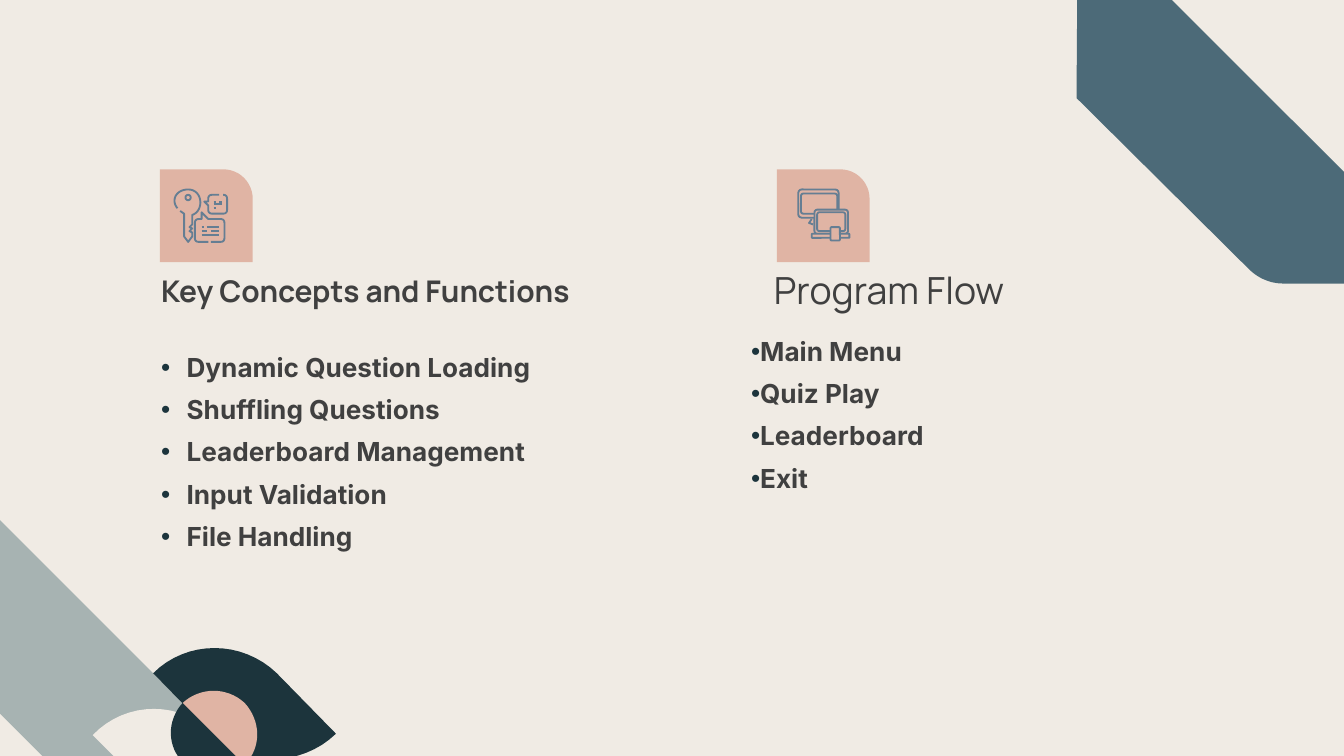
from lxml import etree
from pptx import Presentation
from pptx import util as u
from pptx.dml.color import RGBColor
from pptx.enum import shapes, text
from pptx.oxml.ns import qn

COLORS = {
    "cream": "F0EBE4", "sage": "A7B3B2", "navy": "1C343C", "peach": "E0B4A4",
    "teal": "4C6A78", "icon": "657E93", "ink": "404040",
}
ICON_LINE = u.Pt(1)

CORNER_BAND = [(2.37, 6.24), (-0.01, 3.86), (-0.02, 5.29), (1.26, 6.57),
               (1.33, 6.63, 1.42, 6.67, 1.52, 6.67), (2.37, 6.67)]
TOP_BAND = [(10.4, 1.68), (8.02, -0.7), (8.01, 0.73), (9.29, 2),
            (9.36, 2.07, 9.45, 2.11, 9.55, 2.11), (10.4, 2.11)]
DARK_LEAF = [(1.14, 5.01), (1.39, 4.76, 1.8, 4.76, 2.06, 5.01), (2.5, 5.46),
             (2.24, 5.71, 1.83, 5.71, 1.58, 5.46)]
PALE_LEAF = [(0.69, 5.47), (0.94, 5.21, 1.35, 5.21, 1.6, 5.47), (2.05, 5.91),
             (1.79, 6.16, 1.38, 6.16, 1.13, 5.91)]
DARK_HALF = [(1.37, 5.68), (1.5, 5.81, 1.7, 5.81, 1.83, 5.69), (1.36, 5.23),
             (1.24, 5.36, 1.24, 5.56, 1.37, 5.68)]
PEACH_HALF = [(1.82, 5.23), (1.69, 5.11, 1.49, 5.11, 1.36, 5.23), (1.82, 5.69),
              (1.95, 5.56, 1.94, 5.36, 1.82, 5.23)]

KEY = [(1.32, 1.55), (1.27, 1.49, 1.31, 1.41, 1.4, 1.41),
       (1.51, 1.41, 1.52, 1.57, 1.43, 1.6), (1.43, 1.67), (1.41, 1.69),
       (1.43, 1.7), (1.41, 1.72), (1.43, 1.73), (1.43, 1.76), (1.4, 1.8),
       (1.37, 1.76), (1.37, 1.59), (1.34, 1.57)]
SMALL_BUBBLE = [(1.66, 1.45), (1.68, 1.45, 1.69, 1.46, 1.69, 1.48), (1.69, 1.56),
                (1.69, 1.58, 1.68, 1.59, 1.66, 1.59), (1.58, 1.59),
                (1.56, 1.59, 1.55, 1.58, 1.55, 1.56), (1.55, 1.53), (1.52, 1.5),
                (1.55, 1.5), (1.55, 1.48), (1.55, 1.46, 1.56, 1.45, 1.58, 1.45),
                (1.63, 1.45)]
LARGE_BUBBLE = [(1.55, 1.8), (1.48, 1.8), (1.46, 1.8, 1.45, 1.79, 1.45, 1.77),
                (1.45, 1.66), (1.45, 1.64, 1.46, 1.63, 1.48, 1.63), (1.5, 1.63),
                (1.5, 1.58), (1.55, 1.63), (1.64, 1.63),
                (1.66, 1.63, 1.67, 1.64, 1.67, 1.66), (1.67, 1.77),
                (1.67, 1.79, 1.66, 1.8, 1.64, 1.8), (1.57, 1.8)]
STAND = [(6.04, 1.63), (6.02, 1.66), (6.05, 1.67)]
BUBBLE_DASHES = [(1.59, 1.61, 1.5), (1.63, 1.65, 1.5), (1.59, 1.65, 1.52),
                 (1.59, 1.61, 1.55), (1.5, 1.52, 1.69), (1.54, 1.63, 1.69),
                 (1.5, 1.54, 1.72), (1.57, 1.63, 1.72), (1.5, 1.63, 1.75)]
DEVICES = [(5.94, 1.41, 0.3, 0.21), (5.96, 1.44, 0.27, 0.15),
           (6.06, 1.56, 0.25, 0.18), (6.08, 1.58, 0.21, 0.14),
           (6.04, 1.74, 0.28, 0.03), (6.18, 1.69, 0.07, 0.1)]


def color(name):
    """Return the named colour."""
    return RGBColor.from_string(COLORS[name])


def paint(shape, fill=None, line=None):
    """Set fill and outline, without a shadow."""
    shape.shadow.inherit = False
    if fill:
        shape.fill.solid()
        shape.fill.fore_color.rgb = color(fill)
    else:
        shape.fill.background()
    if line:
        shape.line.color.rgb = color(line)
        shape.line.width = ICON_LINE
    else:
        shape.line.fill.background()


def flatten(steps, pieces=16):
    """Turn line ends (x, y) and cubic curves (six numbers) into points."""
    points = [steps[0]]
    for step in steps[1:]:
        if len(step) == 2:
            points.append(step)
            continue
        knots = [points[-1], step[:2], step[2:4], step[4:]]
        for index in range(1, pieces + 1):
            t = index / pieces
            weights = [(1 - t) ** 3, 3 * t * (1 - t) ** 2, 3 * t * t * (1 - t), t ** 3]
            points.append(tuple(sum(w * knot[axis] for w, knot in zip(weights, knots))
                                for axis in (0, 1)))
    return points


def add_outline(page, steps, fill=None, line=None):
    """Draw a filled outline, or an open stroke when it has no fill."""
    points = [(u.Inches(x), u.Inches(y)) for x, y in flatten(steps)]
    builder = page.shapes.build_freeform(*points[0])
    builder.add_line_segments(points[1:], close=bool(fill))
    paint(builder.convert_to_shape(), fill, line)


def add_preset(page, kind, area, fill=None, line=None, corner=None):
    """Add a preset shape over an area in inches."""
    shape = page.shapes.add_shape(kind, *map(u.Inches, area))
    if corner is not None:
        shape.adjustments[0] = corner
    paint(shape, fill, line)


def add_dash(page, left, right, y):
    """Add a short horizontal icon line."""
    dash = page.shapes.add_connector(shapes.MSO_CONNECTOR.STRAIGHT,
                                     *map(u.Inches, (left, y, right, y)))
    dash.line.color.rgb = color("icon")
    dash.line.width = ICON_LINE
    etree.SubElement(dash._element.spPr, qn("a:effectLst"))


def add_bullet(para, margin, indent):
    """Give a paragraph a dark bullet with a hanging indent."""
    props = para._p.get_or_add_pPr()
    props.set("marL", str(u.Inches(margin)))
    props.set("indent", str(u.Inches(indent)))
    tint = etree.SubElement(props, qn("a:buClr"))
    etree.SubElement(tint, qn("a:srgbClr"), val=COLORS["navy"])
    etree.SubElement(props, qn("a:buFont"), typeface="Arial")
    etree.SubElement(props, qn("a:buChar"), char="•")


def add_text(page, lines, area, font, size, bold=False, top=0.05, bullet=None):
    """Add a text box with one paragraph a line."""
    box = page.shapes.add_textbox(*map(u.Inches, area))
    frame = box.text_frame
    frame.word_wrap = True
    frame.vertical_anchor = text.MSO_ANCHOR.TOP
    frame.margin_top = u.Inches(top)
    for index, line in enumerate(lines):
        para = frame.paragraphs[0] if index == 0 else frame.add_paragraph()
        para.line_spacing = 0.9
        para.space_before = u.Pt(7.5)
        if bullet:
            add_bullet(para, *bullet)
        span = para.add_run()
        span.text = line
        span.font.name = font
        span.font.size = u.Pt(size)
        span.font.bold = bold
        span.font.color.rgb = color("ink")


def add_key_icon(page):
    """Draw the key with its two speech bubbles."""
    for stroke in (KEY, SMALL_BUBBLE, LARGE_BUBBLE):
        add_outline(page, stroke, line="icon")
    add_preset(page, shapes.MSO_SHAPE.OVAL, (1.38, 1.45, 0.04, 0.04), line="icon")
    for dash in BUBBLE_DASHES:
        add_dash(page, *dash)


def add_device_icon(page):
    """Draw the monitor, laptop and phone."""
    add_outline(page, STAND, line="icon")
    for area in DEVICES:
        add_preset(page, shapes.MSO_SHAPE.ROUNDED_RECTANGLE, area, "peach", "icon", 0.12)


def main():
    """Build and save the slide."""
    deck = Presentation()
    deck.slide_width = u.Inches(10)
    deck.slide_height = deck.slide_width * 9 // 16
    page = deck.slides.add_slide(deck.slide_layouts[6])
    page.background.fill.solid()
    page.background.fill.fore_color.rgb = color("cream")

    for steps, fill in ((CORNER_BAND, "sage"), (DARK_LEAF, "navy"), (PALE_LEAF, "cream"),
                        (DARK_HALF, "navy"), (PEACH_HALF, "peach"), (TOP_BAND, "teal")):
        add_outline(page, steps, fill)

    for left in (1.19, 5.78):
        add_preset(page, shapes.MSO_SHAPE.ROUND_1_RECTANGLE, (left, 1.26, 0.69, 0.69),
                   "peach", corner=0.317)
    add_key_icon(page)
    add_device_icon(page)

    add_text(page, ["Key Concepts and Functions"], (1.1, 2.01, 3.6, 0.49),
             "Manrope", 16, bold=True)
    add_text(page, ["Program Flow"], (5.66, 1.98, 3.21, 0.49), "Manrope", 20)
    add_text(page, ["Dynamic Question Loading", "Shuffling Questions",
                    "Leaderboard Management", "Input Validation", "File Handling"],
             (1.1, 2.51, 3.35, 1.87), "Inter", 14, bold=True, top=0.13,
             bullet=(0.19, -0.19))
    add_text(page, ["Main Menu", "Quiz Play", "Leaderboard", "Exit"],
             (5.49, 2.41, 4.47, 1.8), "Inter", 14, bold=True, top=0.11,
             bullet=(0.06, -0.31))
    deck.save("out.pptx")


if __name__ == "__main__":
    main()
